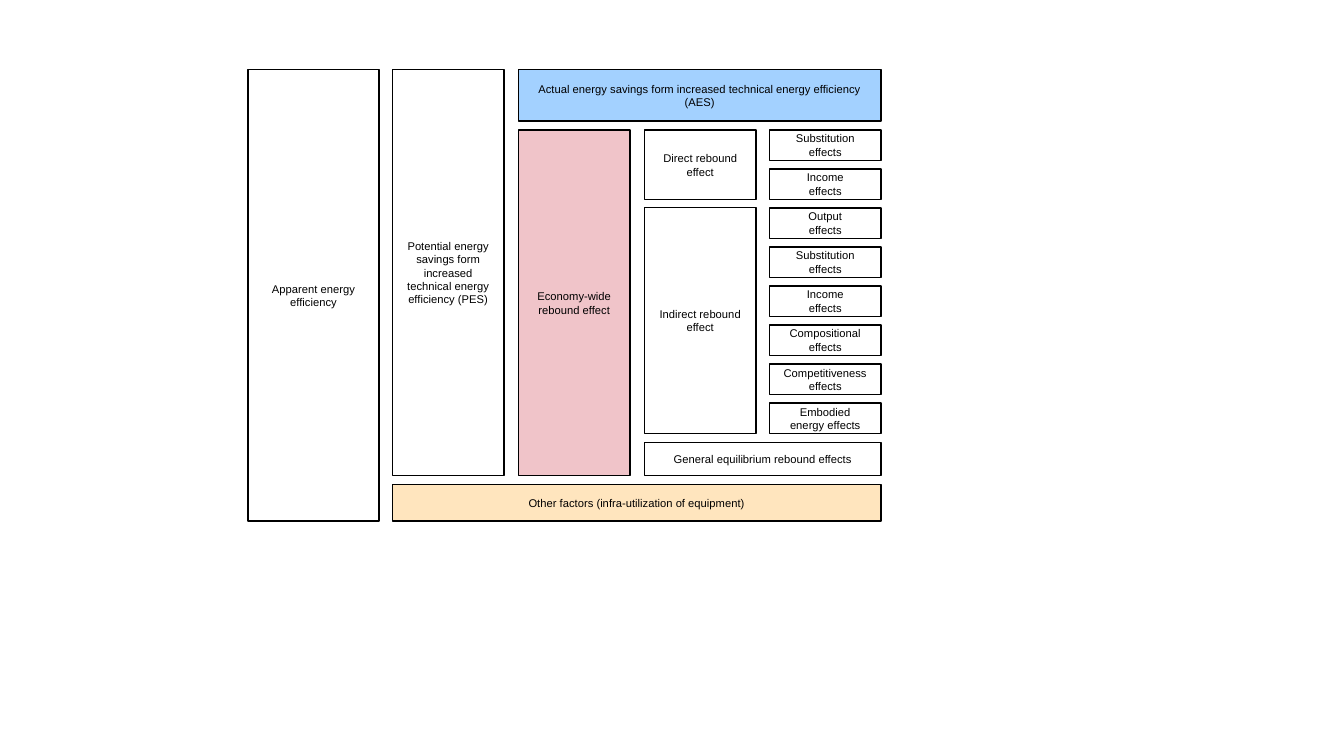
from pptx import Presentation
from pptx.dml.color import RGBColor
from pptx.enum.shapes import MSO_SHAPE
from pptx.enum.text import MSO_ANCHOR, PP_ALIGN
from pptx.oxml.ns import qn
from pptx.util import Inches, Pt
from lxml import etree

RECTANGLE = MSO_SHAPE.RECTANGLE
MIDDLE = MSO_ANCHOR.MIDDLE
CENTER = PP_ALIGN.CENTER

COLORS = {
    "plain": "FFFFFF",
    "ink": "000000",
    "savings": "1A8CFF",
    "rebound": "DA6C7A",
    "other": "FFBE5D",
}
TINT_OPACITY = 40  # percent

# Column edges and shared rows, in inches
APPARENT, POTENTIAL, ECONOMY, REBOUND, EFFECT = 2.46, 3.89, 5.14, 6.39, 7.63
RIGHT = 8.74
COLUMN_WIDTH = 1.11
TOP, REBOUND_TOP, REBOUND_BOTTOM, BOTTOM = 0.69, 1.29, 4.72, 5.17
EFFECT_HEIGHT = 0.3
LAST_EFFECT_TOP = 4.0

EFFECTS = [
    "Substitution effects",
    "Income\neffects",
    "Output\neffects",
    "Substitution effects",
    "Income\neffects",
    "Compositional\neffects",
    "Competitiveness\neffects",
    "Embodied\nenergy effects",
]


def color(name):
    return RGBColor.from_string(COLORS[name])


def set_opacity(box, percent):
    fill_color = box.fill._xPr.find(qn("a:solidFill"))[0]
    etree.SubElement(fill_color, qn("a:alpha"), val=str(percent * 1000))


def add_box(page, text, left, top, right, bottom, fill="plain"):
    """Add an outlined box with centred text between the given edges."""
    box = page.shapes.add_shape(
        RECTANGLE, Inches(left), Inches(top),
        Inches(right - left), Inches(bottom - top))
    box.shadow.inherit = False
    box.fill.solid()
    box.fill.fore_color.rgb = color(fill)
    if fill != "plain":
        set_opacity(box, TINT_OPACITY)
    box.line.color.rgb = color("ink")
    box.line.width = Pt(1)

    frame = box.text_frame
    frame.text = text
    frame.word_wrap = True
    frame.vertical_anchor = MIDDLE
    for para in frame.paragraphs:
        para.alignment = CENTER
        for span in para.runs:
            span.font.name = "Arial"
            span.font.size = Pt(8)
            span.font.color.rgb = color("ink")


def add_column_box(page, text, left, top, bottom, fill="plain"):
    add_box(page, text, left, top, left + COLUMN_WIDTH, bottom, fill)


def add_effects(page):
    """Stack the single effects at an equal pitch."""
    pitch = (LAST_EFFECT_TOP - REBOUND_TOP) / (len(EFFECTS) - 1)
    for index, text in enumerate(EFFECTS):
        top = REBOUND_TOP + index * pitch
        add_column_box(page, text, EFFECT, top, top + EFFECT_HEIGHT)


def main():
    deck = Presentation()
    deck.slide_width, deck.slide_height = Inches(13.33), Inches(7.5)
    page = deck.slides.add_slide(deck.slide_layouts[6])

    # Overall efficiency and its two parts
    add_box(page, "Apparent energy efficiency", APPARENT, TOP, 3.76, BOTTOM)
    add_box(page, "Other factors (infra-utilization of equipment)",
            POTENTIAL, 4.81, RIGHT, BOTTOM, "other")
    add_column_box(page, "Potential energy savings form increased technical "
                   "energy efficiency (PES)", POTENTIAL, TOP, REBOUND_BOTTOM)

    # Actual savings and the rebound that reduces them
    add_box(page, "Actual energy savings form increased technical energy "
            "efficiency (AES)", ECONOMY, TOP, RIGHT, 1.2, "savings")
    add_column_box(page, "Economy-wide rebound effect",
                   ECONOMY, REBOUND_TOP, REBOUND_BOTTOM, "rebound")

    # Kinds of rebound
    add_column_box(page, "Direct rebound effect", REBOUND, REBOUND_TOP, 1.98)
    add_column_box(page, "Indirect rebound effect", REBOUND, 2.06, 4.3)
    add_box(page, "General equilibrium rebound effects",
            REBOUND, 4.39, RIGHT, REBOUND_BOTTOM)
    add_effects(page)

    deck.save("out.pptx")


main()
